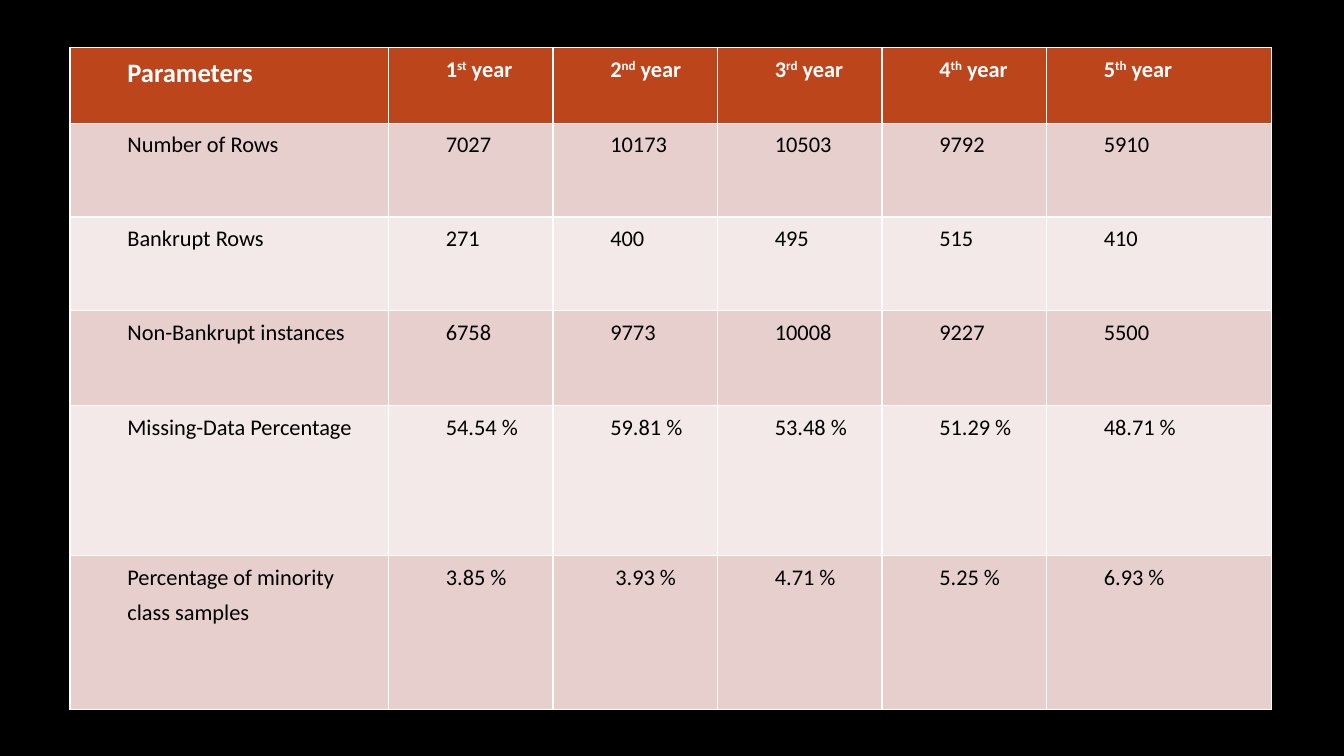
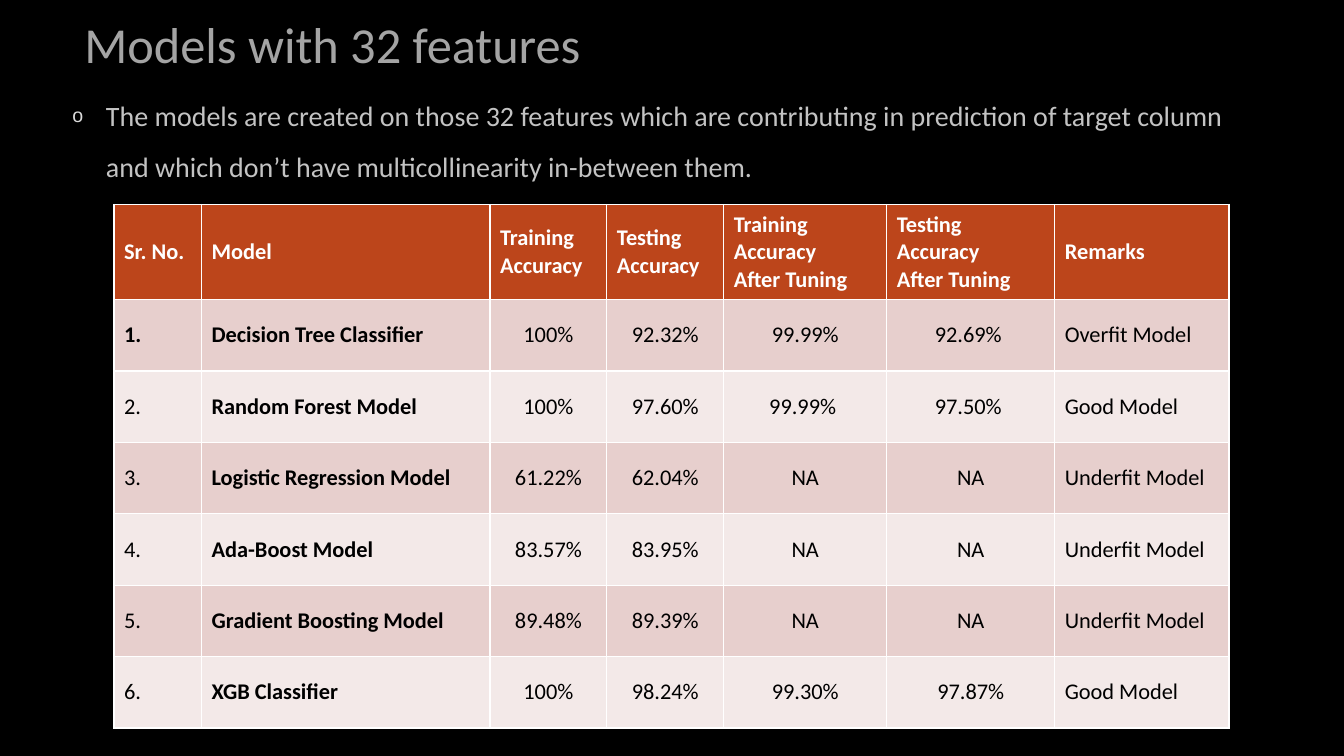
from dataclasses import dataclass

from lxml import etree
from pptx import Presentation
from pptx.dml.color import RGBColor
from pptx.enum import text
from pptx.oxml import ns
from pptx.util import Pt


@dataclass(frozen=True)
class Theme:
    font: str = "Calibri"
    background: str = "000000"
    header: str = "BC451B"
    bands: tuple = ("E7CFCD", "F3E9E8")
    header_text: str = "FFFFFF"
    cell_text: str = "000000"
    title: str = "A4A4A4"
    body: str = "C3C3C3"
    bullet: str = "DADADA"
    title_size: int = 36
    body_size: int = 20
    lead_size: int = 19
    cell_size: int = 16


THEME = Theme()

# A pair of carets encloses superscript text.
YEAR_ROWS = [
    ("Parameters", "1^st^ year", "2^nd^ year", "3^rd^ year", "4^th^ year", "5^th^ year"),
    ("Number of Rows", "7027", "10173", "10503", "9792", "5910"),
    ("Bankrupt Rows", "271", "400", "495", "515", "410"),
    ("Non-Bankrupt instances", "6758", "9773", "10008", "9227", "5500"),
    ("Missing-Data Percentage", "54.54 %", "59.81 %", "53.48 %", "51.29 %", "48.71 %"),
    ("Percentage of minority class samples",
     "3.85 %", " 3.93 %", "4.71 %", "5.25 %", "6.93 %"),
]
YEAR_WIDTHS = [227.5] + [117.5] * 4 + [161]
YEAR_HEIGHTS = [54, 67, 67, 68, 107, 110]

MODELS_TITLE = "Models with 32 features"
MODELS_BODY = ("The models are created on those 32 features which are contributing in "
               "prediction of target column and which don’t have multicollinearity "
               "in-between them.")
MODEL_ROWS = [
    ("Sr. No.", "Model", "Training\nAccuracy", "Testing\nAccuracy",
     "Training Accuracy\nAfter Tuning", "Testing\nAccuracy\nAfter Tuning", "Remarks"),
    ("1.", "Decision Tree Classifier", "100%", "92.32%", "99.99%", "92.69% ", "Overfit Model"),
    ("2.", "Random Forest Model", "100%", "97.60%", "99.99% ", "97.50% ", "Good Model"),
    ("3.", "Logistic Regression Model", "61.22%", "62.04%", "NA", "NA", "Underfit Model"),
    ("4.", "Ada-Boost Model", "83.57%", "83.95%", "NA", "NA", "Underfit Model"),
    ("5.", "Gradient Boosting Model", "89.48%", "89.39%", "NA", "NA", "Underfit Model"),
    ("6.", "XGB Classifier", "100%", "98.24%", "99.30%", "97.87%", "Good Model"),
]
MODEL_WIDTHS = [62.5, 206, 83.5, 83.5, 116.5, 120, 124.5]
MODEL_HEIGHTS = [68] + [51] * 6


def style_font(font, size, color, bold=False):
    font.name, font.size, font.bold = THEME.font, Pt(size), bold
    font.color.rgb = RGBColor.from_string(color)


def write_lines(frame, content):
    """Write one paragraph per line, raising the parts between carets."""
    for index, line in enumerate(content.split("\n")):
        para = frame.add_paragraph() if index else frame.paragraphs[0]
        for position, part in enumerate(line.split("^")):
            span = para.add_run()
            span.text = part
            if position % 2:
                span._r.get_or_add_rPr().set("baseline", "30000")


def add_banded_table(slide, rows, left, top, widths, heights, style_cell):
    """Add a table; style_cell(cell, row, column) sets what is special to it."""
    table = slide.shapes.add_table(len(rows), len(widths), Pt(left), Pt(top),
                                   Pt(sum(widths)), Pt(sum(heights))).table
    for column, width in zip(table.columns, widths):
        column.width = Pt(width)
    for r, (row, height) in enumerate(zip(rows, heights)):
        table.rows[r].height = Pt(height)
        fill = THEME.bands[(r - 1) % 2] if r else THEME.header
        color = THEME.cell_text if r else THEME.header_text
        for c, content in enumerate(row):
            cell = table.cell(r, c)
            cell.fill.solid()
            cell.fill.fore_color.rgb = RGBColor.from_string(fill)
            write_lines(cell.text_frame, content)
            for para in cell.text_frame.paragraphs:
                style_font(para.font, THEME.cell_size, color, bold=r == 0)
            style_cell(cell, r, c)


def style_year_cell(cell, row, column):
    cell.margin_left = cell.margin_right = Pt(5)
    cell.margin_top = cell.margin_bottom = 0
    para = cell.text_frame.paragraphs[0]
    para.line_spacing = 1.3
    para._p.get_or_add_pPr().set("marL", str(Pt(36)))
    if (row, column) == (0, 0):
        para.font.size = Pt(THEME.lead_size)


def style_model_cell(cell, row, column):
    cell.vertical_anchor = text.MSO_ANCHOR.MIDDLE
    para = cell.text_frame.paragraphs[0]
    if row and 2 <= column <= 5:
        para.alignment = text.PP_ALIGN.CENTER
    if column == 1 or (row, column) == (1, 0):
        para.font.bold = True


def fill_placeholder(box, content, place, anchor):
    box.left, box.top, box.width, box.height = map(Pt, place)
    frame = box.text_frame
    frame.text = content
    frame.word_wrap = True
    frame.auto_size = text.MSO_AUTO_SIZE.NONE
    frame.vertical_anchor = anchor
    return frame.paragraphs[0]


def add_bullet(para, mark, color, percent, indent, hanging):
    props = para._p.get_or_add_pPr()
    props.set("marL", str(Pt(indent)))
    props.set("indent", str(-Pt(hanging)))
    tint = etree.SubElement(props, ns.qn("a:buClr"))
    etree.SubElement(tint, ns.qn("a:srgbClr"), val=color)
    etree.SubElement(props, ns.qn("a:buSzPct"), val=str(percent * 1000))
    etree.SubElement(props, ns.qn("a:buChar"), char=mark)


def build_years(deck):
    slide = deck.slides.add_slide(deck.slide_layouts.get_by_name("Blank"))
    add_banded_table(slide, YEAR_ROWS, 50, 34, YEAR_WIDTHS, YEAR_HEIGHTS, style_year_cell)


def build_models(deck):
    slide = deck.slides.add_slide(deck.slide_layouts.get_by_name("Title and Content"))
    title = fill_placeholder(slide.shapes.title, MODELS_TITLE, (53, 6.5, 815, 49),
                             text.MSO_ANCHOR.MIDDLE)
    title.alignment = text.PP_ALIGN.LEFT
    style_font(title.font, THEME.title_size, THEME.title)

    body = fill_placeholder(slide.placeholders[1], MODELS_BODY, (41, 55, 870, 84),
                            text.MSO_ANCHOR.TOP)
    body.line_spacing = 1.5
    body.space_before, body.space_after = Pt(4), Pt(6)
    add_bullet(body, "o", THEME.bullet, 70, indent=27.5, hanging=24)
    style_font(body.font, THEME.body_size, THEME.body)

    add_banded_table(slide, MODEL_ROWS, 81.5, 146, MODEL_WIDTHS, MODEL_HEIGHTS,
                     style_model_cell)


def main():
    deck = Presentation()
    deck.slide_width, deck.slide_height = Pt(960), Pt(540)
    backdrop = deck.slide_master.background.fill
    backdrop.solid()
    backdrop.fore_color.rgb = RGBColor.from_string(THEME.background)
    build_years(deck)
    build_models(deck)
    deck.save("out.pptx")


if __name__ == "__main__":
    main()
